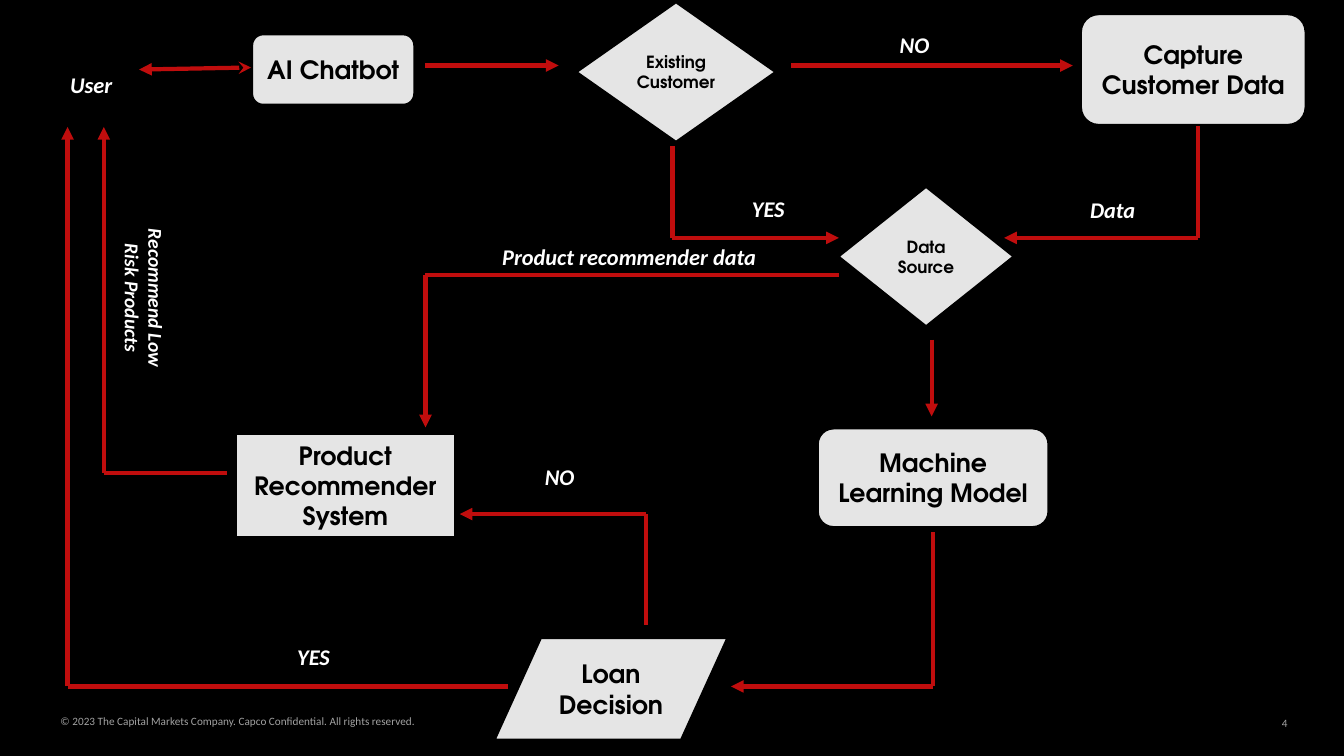
from itertools import pairwise
from lxml.etree import SubElement
from pptx import Presentation
from pptx.dml.color import RGBColor
from pptx.enum.shapes import MSO_CONNECTOR, MSO_SHAPE
from pptx.enum.text import MSO_ANCHOR, PP_ALIGN
from pptx.oxml.ns import qn
from pptx.util import Inches, Pt

W, H = 13.33, 7.5
COLORS = {"back": "000000", "node": "E5E5E5", "arrow": "C00D0D",
          "label": "FFFFFF", "footer": "A2A2A2"}
NODE_FONT = {"name": "TeX Gyre Adventor", "bold": True}
LABEL_FONT = {"name": "Calibri", "bold": True, "italic": True}
FOOTER_FONT = {"name": "Calibri", "size": Pt(8)}

# Lengths are columns and rows of a one-inch grid, counted from the region's corner.
ROUND, DIAMOND = MSO_SHAPE.ROUNDED_RECTANGLE, MSO_SHAPE.DIAMOND
NODES = [
    ("AI Chatbot", ROUND, (2.49, 0.33, 1.63, 0.72), 18),
    ("Existing Customer", DIAMOND, (5.7, 0.01, 2.01, 1.41), 12),
    ("Capture Customer Data", ROUND, (10.71, 0.13, 2.25, 1.12), 18),
    ("Data Source", DIAMOND, (8.3, 1.84, 1.77, 1.41), 12),
    ("Product Recommender System", MSO_SHAPE.RECTANGLE, (2.33, 4.29, 2.19, 1.05), 18),
    ("Machine Learning Model", ROUND, (8.1, 4.24, 2.31, 1), 18),
    ("Loan Decision", MSO_SHAPE.FLOWCHART_DATA, (4.89, 6.32, 2.34, 1.03), 18),
]
# Corner points of each route and the arrowheads at its two ends
ROUTES = [
    ([(1.38, 0.69), (2.49, 0.67)], "triangle", "stealth"),    # user - chatbot
    ([(4.22, 0.65), (5.54, 0.65)], None, "triangle"),         # chatbot - customer
    ([(7.85, 0.65), (10.64, 0.65)], None, "triangle"),        # customer - capture
    ([(6.67, 1.45), (6.67, 2.36), (8.32, 2.36)], None, "triangle"),
    ([(11.88, 1.25), (11.88, 2.36), (9.96, 2.36)], None, "triangle"),
    ([(8.32, 2.73), (4.22, 2.73), (4.22, 4.24)], None, "triangle"),
    ([(9.24, 3.37), (9.24, 4.13)], None, "triangle"),         # source - model
    ([(9.25, 5.28), (9.25, 6.81), (7.25, 6.81)], None, "triangle"),
    ([(6.41, 6.2), (6.41, 5.1), (4.56, 5.1)], None, "triangle"),
    ([(2.25, 4.69), (1.03, 4.69), (1.03, 1.26)], None, "triangle"),
    ([(5.04, 6.81), (0.67, 6.81), (0.67, 1.26)], None, "triangle"),
]
LABELS = [
    ("User", (0.38, 0.66, 1.05, 0.37), 16, 0),
    ("NO", (8.76, 0.26, 0.62, 0.37), 16, 0),
    ("YES", (7.31, 1.89, 0.62, 0.37), 16, 0),
    ("Data", (10.63, 1.9, 0.81, 0.37), 16, 0),
    ("Product recommender data", (4.77, 2.36, 2.94, 0.37), 16, 0),
    ("Recommend Low Risk Products", (0.57, 2.67, 1.72, 0.57), 14, 90),
    ("NO", (5.24, 4.55, 0.62, 0.37), 16, 0),
    ("YES", (2.8, 6.33, 0.62, 0.37), 16, 0),
]


def rgb(name):
    return RGBColor.from_string(COLORS[name])


def place(box, cell):
    x, y, w, h = cell
    return [Inches(v) for v in (box[0] + x, box[1] + y, w, h)]


def write(sp, text, font, color, align=PP_ALIGN.CENTER, anchor=MSO_ANCHOR.MIDDLE):
    tf = sp.text_frame
    tf.word_wrap = True
    tf.vertical_anchor = anchor
    p = tf.paragraphs[0]
    p.alignment = align
    r = p.add_run()
    r.text = text
    for key, value in font.items():
        setattr(r.font, key, value)
    r.font.color.rgb = rgb(color)


def add_route(s, box, points, head, tail):
    last = len(points) - 2
    for i, (a, b) in enumerate(pairwise(points)):
        ends = [Inches(box[k] + pt[k]) for pt in (a, b) for k in (0, 1)]
        c = s.shapes.add_connector(MSO_CONNECTOR.STRAIGHT, *ends)
        c.line.color.rgb = rgb("arrow")
        c.line.width = Pt(3)
        ln = c.line._get_or_add_ln()
        if head and i == 0:
            SubElement(ln, qn("a:headEnd"), type=head)
        if tail and i == last:
            SubElement(ln, qn("a:tailEnd"), type=tail)
        SubElement(c._element.spPr, qn("a:effectLst"))


def draw_flow(s, box):
    # Steps
    for text, kind, cell, size in NODES:
        sp = s.shapes.add_shape(kind, *place(box, cell))
        sp.shadow.inherit = False
        sp.fill.solid()
        sp.fill.fore_color.rgb = rgb("node")
        sp.line.color.rgb = rgb("back")
        sp.line.width = Pt(3)
        write(sp, text, NODE_FONT | {"size": Pt(size)}, "back")
    # Arrows
    for points, head, tail in ROUTES:
        add_route(s, box, points, head, tail)
    # Labels
    for text, cell, size, turn in LABELS:
        sp = s.shapes.add_textbox(*place(box, cell))
        sp.rotation = turn
        write(sp, text, LABEL_FONT | {"size": Pt(size)}, "label", anchor=MSO_ANCHOR.TOP)


def draw_footer(s, box):
    parts = [
        ("© 2023 The Capital Markets Company. Capco Confidential. All rights reserved.",
         (0, 0.06, 5.39, 0.13), PP_ALIGN.LEFT, MSO_ANCHOR.TOP),
        ("4", (box[2] - 0.33, 0, 0.33, 0.29), PP_ALIGN.RIGHT, MSO_ANCHOR.MIDDLE),
    ]
    for text, cell, align, anchor in parts:
        sp = s.shapes.add_textbox(*place(box, cell))
        for side in ("left", "top", "right", "bottom"):
            setattr(sp.text_frame, f"margin_{side}", 0)
        write(sp, text, FOOTER_FONT, "footer", align, anchor)


def main():
    prs = Presentation()
    prs.slide_width, prs.slide_height = Inches(W), Inches(H)
    s = prs.slides.add_slide(prs.slide_layouts[6])
    s.background.fill.solid()
    s.background.fill.fore_color.rgb = rgb("back")
    draw_footer(s, (0.6, 7.03, 12.17, 0.29))
    draw_flow(s, (0, 0, W, H))
    prs.save("out.pptx")


if __name__ == "__main__":
    main()
